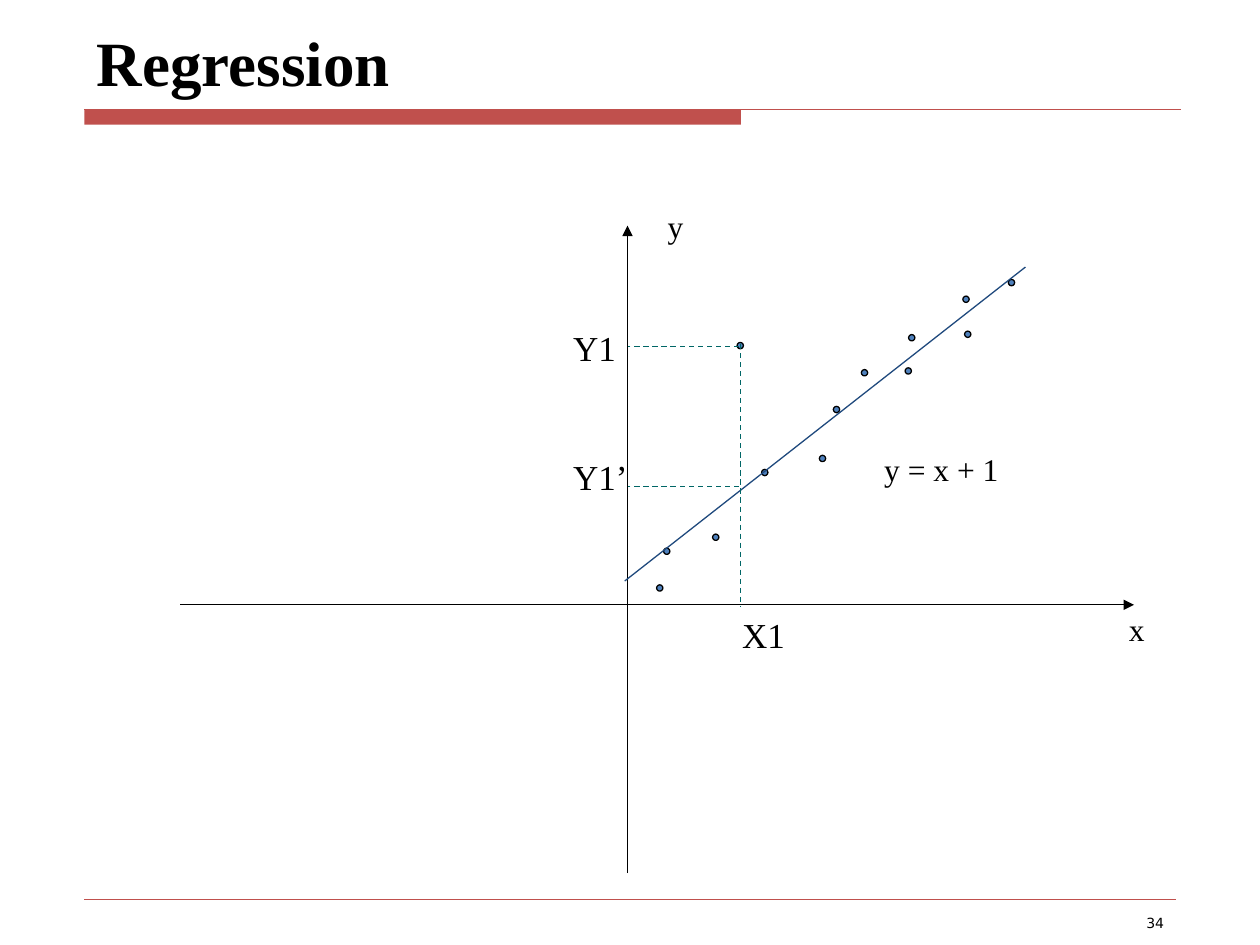
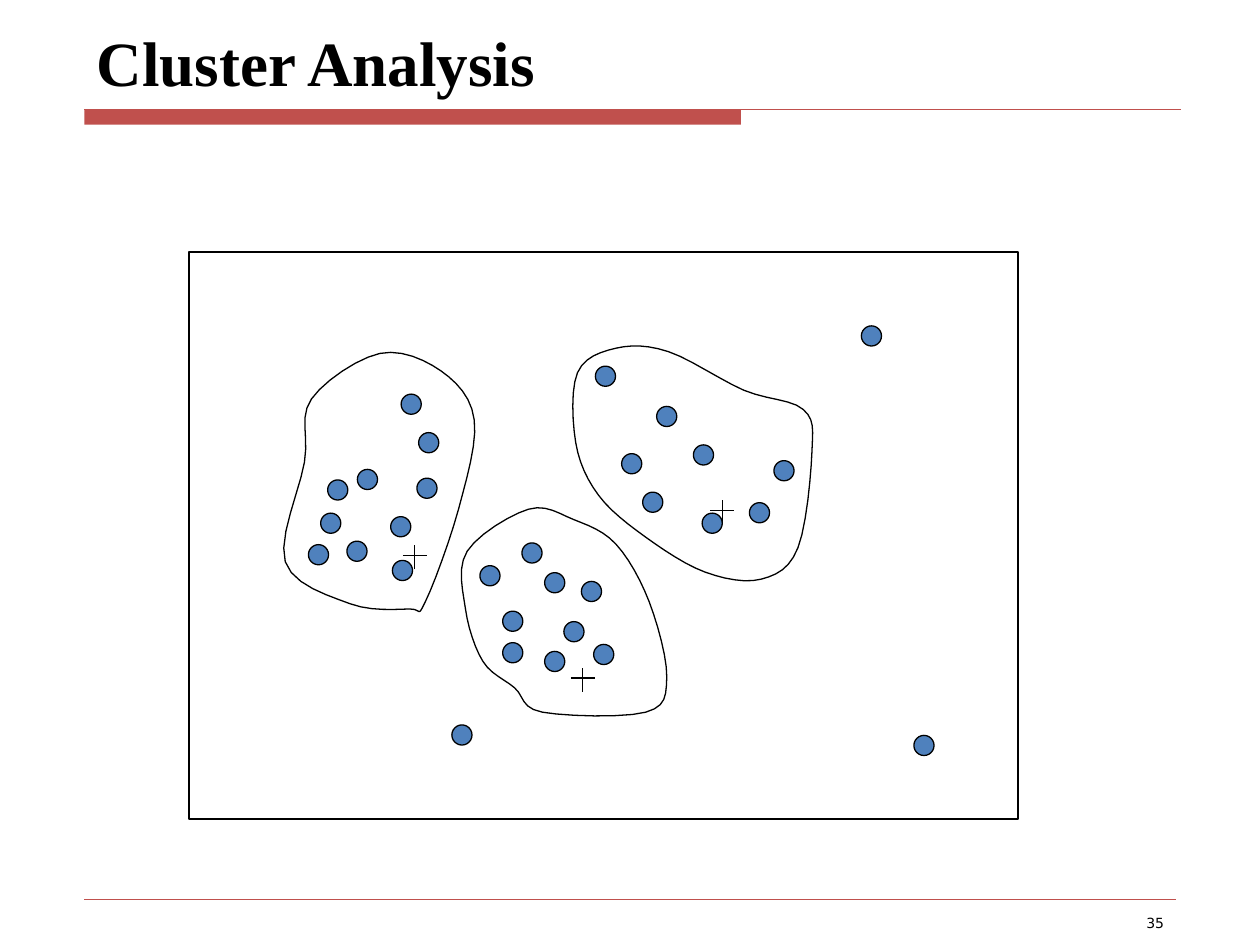
from lxml import etree
from pptx import Presentation
from pptx import util as u
from pptx.dml.color import RGBColor
from pptx.enum import dml, shapes, text
from pptx.oxml import ns

Pt = u.Pt
BLACK = RGBColor(0x00, 0x00, 0x00)
RED = RGBColor(0xC0, 0x50, 0x4D)
BLUE = RGBColor(0x4F, 0x81, 0xBD)
NAVY = RGBColor(0x1F, 0x49, 0x7D)
TEAL = RGBColor(0x00, 0x66, 0x66)
SERIF = "Times New Roman"
SANS = "DejaVu Sans"
MARGIN = 48.2
BAND_TOP = 62.6


def add_line(page, start, end, color=BLACK, width=0.75, dashed=False, arrow=False):
    """Draw a straight line without shadow, between (x, y) pairs in points."""
    line = page.shapes.add_connector(
        shapes.MSO_CONNECTOR.STRAIGHT, *(Pt(value) for value in (*start, *end)))
    line.line.color.rgb = color
    line.line.width = Pt(width)
    if dashed:
        line.line.dash_style = dml.MSO_LINE.DASH
    properties = line._element.spPr
    if arrow:
        etree.SubElement(properties.find(ns.qn("a:ln")), ns.qn("a:tailEnd"), type="triangle")
    etree.SubElement(properties, ns.qn("a:effectLst"))


def add_dots(page, kind, size, centres):
    for x, y in centres:
        dot = page.shapes.add_shape(
            kind, Pt(x - size / 2), Pt(y - size / 2), Pt(size), Pt(size))
        dot.shadow.inherit = False
        dot.fill.solid()
        dot.fill.fore_color.rgb = BLUE
        dot.line.color.rgb = BLACK
        dot.line.width = Pt(0.75)


deck = Presentation()
deck.slide_width, deck.slide_height = Pt(720), Pt(540)
layout = deck.slide_layouts[5]

# Shared title, band and footer
title_format = {"name": SERIF, "size": Pt(36), "bold": True}
number_format = {"name": SANS, "size": Pt(8)}
pages = []
for number, heading in enumerate(["Regression", "Cluster Analysis"], start=34):
    page = deck.slides.add_slide(layout)
    pages.append(page)

    band = page.shapes.add_shape(
        shapes.MSO_SHAPE.RECTANGLE, Pt(MARGIN), Pt(BAND_TOP), Pt(375.2), Pt(8.6))
    band.shadow.inherit = False
    band.fill.solid()
    band.fill.fore_color.rgb = RED
    band.line.fill.background()
    add_line(page, (MARGIN, BAND_TOP), (674.6, BAND_TOP), RED)
    add_line(page, (MARGIN, 514), (672, 514), RED, 0.25)

    title = page.shapes.title
    title.left, title.top, title.width, title.height = Pt(MARGIN), Pt(15.1), Pt(629.3), Pt(45.4)
    footer = page.shapes.add_textbox(Pt(516.2), Pt(519.1), Pt(156.2), Pt(15.1))
    for box, words, alignment, anchor, look in [
        (title, heading, text.PP_ALIGN.LEFT, text.MSO_ANCHOR.BOTTOM, title_format),
        (footer, str(number), text.PP_ALIGN.RIGHT, text.MSO_ANCHOR.TOP, number_format),
    ]:
        frame = box.text_frame
        frame.word_wrap = True
        frame.auto_size = text.MSO_AUTO_SIZE.NONE
        frame.vertical_anchor = anchor
        para = frame.paragraphs[0]
        para.alignment = alignment
        span = para.add_run()
        span.text = words
        span.font.color.rgb = BLACK
        for name, value in look.items():
            setattr(span.font, name, value)

regression, clusters = pages

# Regression: axes, samples, fitted line and the residual at X1
AXIS_X, AXIS_Y, X1 = 358.6, 345.6, 423.2
add_line(regression, (103, AXIS_Y), (648, AXIS_Y), arrow=True)
add_line(regression, (AXIS_X, 499), (AXIS_X, 129), arrow=True)
add_dots(regression, shapes.MSO_SHAPE.OVAL, 3.6, [
    (377, 336), (381, 315), (409, 307), (423, 197.5), (437, 270), (470, 262), (478, 234),
    (494, 213), (519, 212), (521, 193), (552, 171), (553, 191), (578, 161.5)])
add_line(regression, (357, 332), (586, 152.6), NAVY)
add_line(regression, (X1, 196.6), (X1, 347), TEAL, dashed=True)
for y in (198, 278):
    add_line(regression, (X1 - 1, y), (AXIS_X, y), TEAL, dashed=True)

for words, left, top, width, size in [
    ("x", 638, 345, 26.6, 18),
    ("y", 374.4, 114.5, 26.6, 18),
    ("y = x + 1", 498.2, 253.4, 101.5, 18),
    ("X1", 417, 347, 39, 20),
    ("Y1", 320.4, 183, 39, 20),
    ("Y1’", 320.4, 257, 45.4, 20),
]:
    height = 36 if size == 18 else 31
    box = regression.shapes.add_textbox(Pt(left), Pt(top), Pt(width), Pt(height))
    box.text_frame.word_wrap = False
    span = box.text_frame.paragraphs[0].add_run()
    span.text = words
    span.font.name, span.font.size = SERIF, Pt(size)
    span.font.color.rgb = BLACK

# Cluster analysis: frame, then each cluster's outline, centre and members
frame_box = clusters.shapes.add_shape(
    shapes.MSO_SHAPE.RECTANGLE, Pt(108), Pt(144), Pt(473.8), Pt(324))
outlined = [frame_box]
STEPS = 6
DOT = shapes.MSO_SHAPE.FLOWCHART_CONNECTOR
DOT_SIZE = 11.5

cluster_list = [
    ((237, 317.5),
     [(163, 321), (174, 264), (178, 228), (217, 202), (252, 212),
      (271, 240), (262, 291), (243, 344), (234, 348), (200, 345)],
     [(204, 315), (189, 299), (229, 301), (210, 274), (182, 317),
      (193, 280), (230, 326), (244, 279), (245, 253), (235, 231)]),
    ((412.8, 291.6),
     [(459, 234), (464, 258), (456, 313), (435, 331), (403, 327), (369, 307),
      (342, 283), (329, 253), (330, 213), (352, 199), (382, 201), (425, 223)],
     [(381, 238), (373, 287), (402, 260), (361, 265),
      (448, 269), (434, 293), (407, 299), (346, 215)]),
    ((333, 387.4),
     [(276, 378), (266, 348), (267, 315), (302, 291), (328, 297), (352, 311),
      (371, 344), (381, 387), (369, 407), (310, 407), (294, 393)],
     [(280, 329), (338, 338), (317, 378), (328, 361), (293, 355),
      (293, 373), (304, 316), (317, 333), (345, 374)]),
]
for (x, y), knots, members in cluster_list:
    # A closed Catmull-Rom curve passes through every knot
    curve = []
    for i in range(len(knots)):
        neighbours = [knots[(i + shift) % len(knots)] for shift in (-1, 0, 1, 2)]
        for step in range(STEPS):
            t = step / STEPS
            curve.append([
                Pt(b + t / 2 * (c - a + t * (2 * a - 5 * b + 4 * c - d
                                             + t * (3 * (b - c) + d - a))))
                for a, b, c, d in zip(*neighbours)])
    builder = clusters.shapes.build_freeform(*curve[0])
    builder.add_line_segments(curve[1:], close=True)
    outlined.append(builder.convert_to_shape())

    add_line(clusters, (x - 6.8, y), (x + 6.8, y))
    add_line(clusters, (x, y + 7.9), (x, y - 5.8))
    add_dots(clusters, DOT, DOT_SIZE, members)

outliers = [(528, 426), (264, 420), (498, 192)]
add_dots(clusters, DOT, DOT_SIZE, outliers)

for outline in outlined:
    outline.shadow.inherit = False
    outline.fill.background()
    outline.line.color.rgb = BLACK
    outline.line.width = Pt(0.75)

deck.save("out.pptx")
